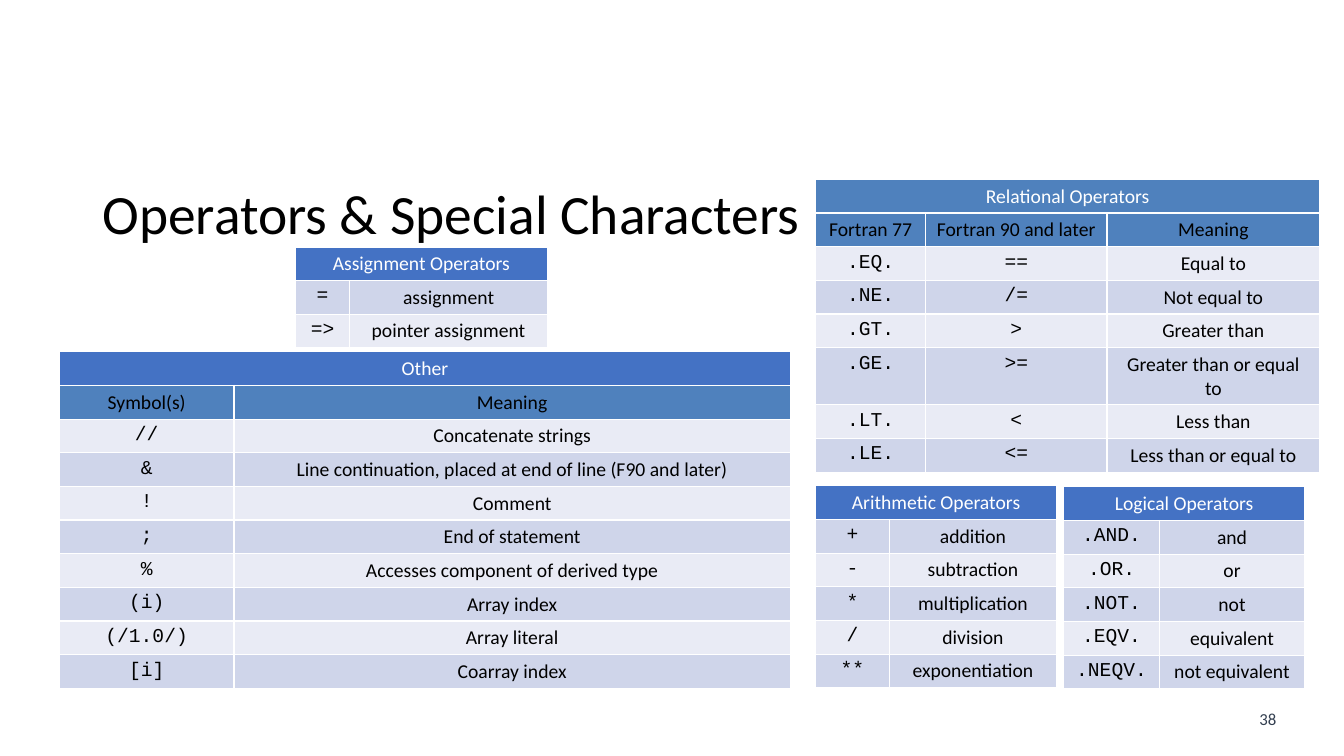
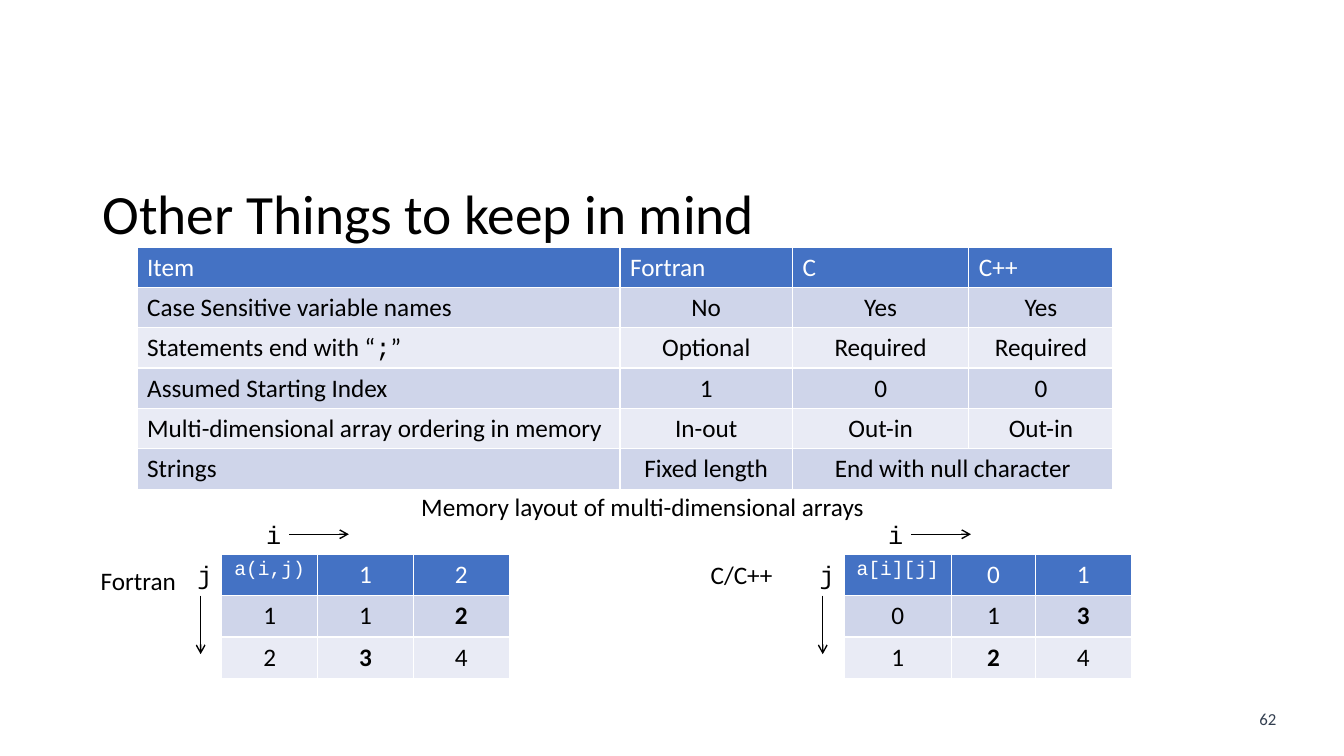
from dataclasses import dataclass

from lxml import etree
from pptx import Presentation
from pptx.dml.color import RGBColor
from pptx.enum.shapes import MSO_CONNECTOR
from pptx.enum.text import MSO_ANCHOR, PP_ALIGN
from pptx.oxml.ns import qn
from pptx.util import Inches, Pt

LEFT, CENTER = PP_ALIGN.LEFT, PP_ALIGN.CENTER
TOP, MIDDLE = MSO_ANCHOR.TOP, MSO_ANCHOR.MIDDLE
STRAIGHT = MSO_CONNECTOR.STRAIGHT

BLACK = RGBColor(0x00, 0x00, 0x00)
WHITE = RGBColor(0xFF, 0xFF, 0xFF)
SLATE = RGBColor(0x33, 0x3F, 0x50)
HEADER_BLUE = RGBColor(0x44, 0x72, 0xC4)
STEEL_BLUE = RGBColor(0x4F, 0x81, 0xBD)
BANDS = (RGBColor(0xE9, 0xEB, 0xF5), RGBColor(0xCF, 0xD5, 0xEA))

BODY_FONT, CODE_FONT = "Calibri", "Courier New"
SLIDE_W, SLIDE_H = 13.33, 7.5
SMALL, NORMAL = 14, 18
SMALL_ROW, NORMAL_ROW, ARRAY_ROW = 0.33, 0.4, 0.41
LABEL_H = 0.4


@dataclass
class Run:
    text: str
    font: str = BODY_FONT
    size: float = 0
    bold: bool = False


def code(text, size=0):
    return Run(text, CODE_FONT, size)


def strong(text):
    return Run(text, bold=True)


def fill_paragraph(paragraph, content, size, color, align):
    """Write content, a string, a Run or a list of them, run by run."""
    paragraph.alignment = align
    for part in content if isinstance(content, list) else [content]:
        part = Run(part) if isinstance(part, str) else part
        run = paragraph.add_run()
        run.text = part.text
        run.font.name = part.font
        run.font.size = Pt(part.size or size)
        run.font.bold = part.bold
        run.font.color.rgb = color


def add_label(slide, box, content, size=NORMAL, color=BLACK, align=LEFT,
              anchor=TOP, wrap=False):
    frame = slide.shapes.add_textbox(*map(Inches, box)).text_frame
    frame.word_wrap = wrap
    frame.vertical_anchor = anchor
    fill_paragraph(frame.paragraphs[0], content, size, color, align)
    return frame.paragraphs[0]


def add_arrow(slide, start, end):
    line = slide.shapes.add_connector(STRAIGHT, *map(Inches, start + end))
    line.line.color.rgb = BLACK
    line.line.width = Pt(1)
    properties = line._element.spPr
    etree.SubElement(properties.find(qn("a:ln")), qn("a:tailEnd"), type="arrow")
    etree.SubElement(properties, qn("a:effectLst"))


def add_grid(slide, corner, columns, row_height, rows, size=SMALL,
             header_fill=HEADER_BLUE, has_subheader=False, left_column=False):
    """Draw a banded table; None joins a cell to the one on its left."""
    box = corner + (sum(columns), row_height * len(rows))
    table = slide.shapes.add_table(len(rows), len(columns),
                                   *map(Inches, box)).table
    for column, width in zip(table.columns, columns):
        column.width = Inches(width)
    for r, contents in enumerate(rows):
        table.rows[r].height = Inches(row_height)
        if r == 0:
            fill = header_fill
        elif r == 1 and has_subheader:
            fill = STEEL_BLUE
        else:
            fill = BANDS[r % 2]
        for c, content in enumerate(contents):
            cell = table.cell(r, c)
            cell.fill.solid()
            cell.fill.fore_color.rgb = fill
            if content is None:
                continue
            span = 1
            while c + span < len(contents) and contents[c + span] is None:
                span += 1
            if span > 1:
                cell.merge(table.cell(r, c + span - 1))
            align = LEFT if left_column and (r == 0 or c == 0) else CENTER
            fill_paragraph(cell.text_frame.paragraphs[0], content, size,
                           WHITE if r == 0 else BLACK, align)


def add_symbol_table(slide, corner, columns, title, entries, subheader=None,
                     header_fill=HEADER_BLUE):
    """Draw a titled table whose last column explains the symbols before it."""
    rows = [[title] + [None] * (len(columns) - 1)]
    if subheader:
        rows.append(subheader)
    rows += [[code(symbol) for symbol in symbols] + [meaning]
             for *symbols, meaning in entries]
    add_grid(slide, corner, columns, SMALL_ROW, rows, header_fill=header_fill,
             has_subheader=bool(subheader))


def add_array_panel(slide, corner, columns, rows, language, language_box):
    """Draw an array with its index arrows; language_box is relative to corner."""
    left, top = corner
    add_grid(slide, corner, columns, ARRAY_ROW, rows, NORMAL)
    add_label(slide, (left + 0.34, top - 0.4, 0.35, LABEL_H), code("i"))
    add_label(slide, (left - 0.34, top, 0.35, LABEL_H), code("j"))
    add_arrow(slide, (left + 0.67, top - 0.2), (left + 1.26, top - 0.2))
    add_arrow(slide, (left - 0.21, top + 0.41), (left - 0.21, top + 0.99))
    dx, dy, width = language_box
    add_label(slide, (left + dx, top + dy, width, LABEL_H), language)


def start_slide(deck, title, number):
    slide = deck.slides.add_slide(deck.slide_layouts[6])
    heading = add_label(slide, (0.92, 1.8, 11.5, 0.7), title, 39.6,
                        anchor=MIDDLE, wrap=True)
    heading.line_spacing = 0.9
    add_label(slide, (12.34, 6.98, 0.47, 0.3), str(number), 12, SLATE, CENTER)
    return slide


def build_operators(deck):
    slide = start_slide(deck, "Operators & Special Characters", 38)
    add_symbol_table(
        slide, (8.09, 1.78), (1.09, 1.8, 2.11), "Relational Operators",
        [(".EQ.", "==", "Equal to"),
         (".NE.", "/=", "Not equal to"),
         (".GT.", ">", "Greater than"),
         (".GE.", ">=", "Greater than or equal to"),
         (".LT.", "<", "Less than"),
         (".LE.", "<=", "Less than or equal to")],
        ["Fortran 77", "Fortran 90 and later", "Meaning"], STEEL_BLUE)
    add_symbol_table(
        slide, (8.09, 4.82), (0.73, 1.66), "Arithmetic Operators",
        [("+", "addition"), ("-", "subtraction"), ("*", "multiplication"),
         ("/", "division"), ("**", "exponentiation")])
    add_symbol_table(
        slide, (2.93, 2.45), (0.54, 1.96), "Assignment Operators",
        [("=", "assignment"), ("=>", "pointer assignment")])
    add_symbol_table(
        slide, (0.59, 3.49), (1.73, 5.52), "Other",
        [("//", "Concatenate strings"),
         ("&", "Line continuation, placed at end of line (F90 and later)"),
         ("!", "Comment"),
         (";", "End of statement"),
         ("%", "Accesses component of derived type"),
         ("(i)", "Array index"),
         ("(/1.0/)", "Array literal"),
         ("[i]", "Coarray index")],
        ["Symbol(s)", "Meaning"])
    add_symbol_table(
        slide, (10.55, 4.83), (0.95, 1.44), "Logical Operators",
        [(".AND.", "and"), (".OR.", "or"), (".NOT.", "not"),
         (".EQV.", "equivalent"), (".NEQV.", "not equivalent")])


def build_language_differences(deck):
    slide = start_slide(deck, "Other Things to keep in mind", 62)
    add_grid(
        slide, (1.36, 2.45), (4.79, 1.71, 1.75, 1.43), NORMAL_ROW,
        [["Item", "Fortran", "C", "C++"],
         ["Case Sensitive variable names", "No", "Yes", "Yes"],
         [["Statements end with “", code(";"), "”"],
          "Optional", "Required", "Required"],
         ["Assumed Starting Index", "1", "0", "0"],
         ["Multi-dimensional array ordering in memory",
          "In-out", "Out-in", "Out-in"],
         ["Strings", "Fixed length", "End with null character", None]],
        NORMAL, left_column=True)
    add_label(slide, (4.08, 4.83, 4.64, LABEL_H),
              "Memory layout of multi-dimensional arrays")
    add_array_panel(
        slide, (2.2, 5.5), (0.95, 0.95, 0.95),
        [[code("a(i,j)", SMALL), "1", "2"],
         ["1", "1", strong("2")],
         ["2", strong("3"), "4"]],
        "Fortran", (-1.3, 0.06, 0.96))
    add_array_panel(
        slide, (8.37, 5.5), (1.07, 0.83, 0.95),
        [[code("a[i][j]", SMALL), "0", "1"],
         ["0", "1", strong("3")],
         ["1", strong("2"), "4"]],
        "C/C++", (-1.42, 0, 0.82))


def main():
    deck = Presentation()
    deck.slide_width, deck.slide_height = Inches(SLIDE_W), Inches(SLIDE_H)
    build_operators(deck)
    build_language_differences(deck)
    deck.save("out.pptx")


if __name__ == "__main__":
    main()
